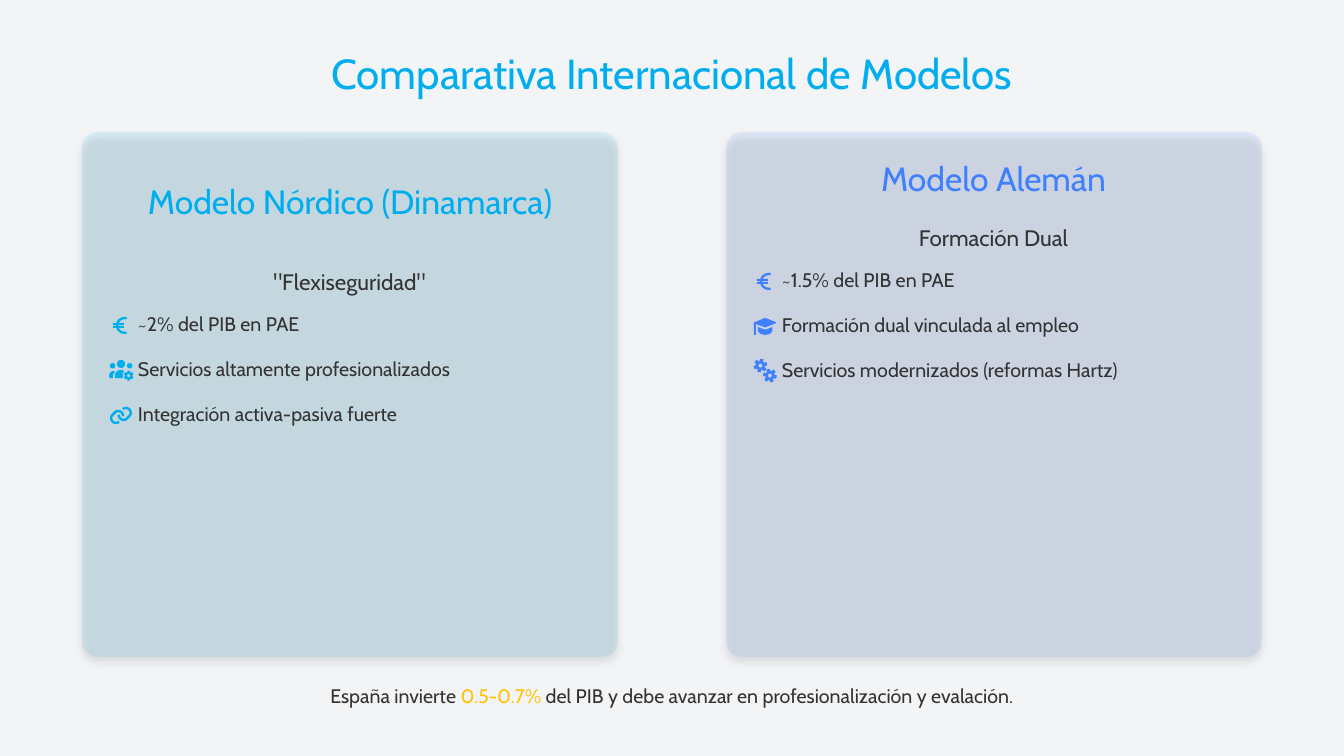
"""Build the slide that compares two employment policy models."""
from dataclasses import dataclass
from math import cos, radians, sin

from lxml.etree import SubElement
from pptx import Presentation
from pptx.dml.color import RGBColor
from pptx.enum.shapes import MSO_SHAPE as Preset
from pptx.enum.text import MSO_ANCHOR as Anchor, MSO_AUTO_SIZE as AutoSize, PP_ALIGN as Align
from pptx.oxml.ns import qn
from pptx.util import Pt

EMU_PER_PX = 914400 / 100.8
ICON_UNITS_PER_PX = 10


@dataclass(frozen=True)
class Theme:
    """Colours, font and type sizes."""
    font: str = "Cabin"
    background: str = "F3F4F6"
    text: str = "333333"
    nordic: str = "00AEEF"
    german: str = "4080FF"
    accent: str = "FFC200"
    shadow: str = "000000"
    title: int = 30
    heading: int = 24
    subtitle: int = 16
    body: int = 14


def px(length):
    """Turn pixels into EMU."""
    return round(length * EMU_PER_PX)


def arc(x, y, radius, start=0, end=360, step=15):
    """Return points along a circular arc."""
    steps = max(1, round(abs(end - start) / step))
    angles = [radians(start + (end - start) * i / steps) for i in range(steps + 1)]
    return [(x + radius * cos(a), y + radius * sin(a)) for a in angles]


def gear(x, y, outer, inner, hole, turn):
    """Return the outline and the hole of a six-toothed gear."""
    outline = []
    for tooth in range(turn, turn + 360, 60):
        outline += arc(x, y, inner, tooth - 36, tooth - 24)
        outline += arc(x, y, outer, tooth - 14, tooth + 14)
    return [outline, arc(x, y, hole)]


def bar(left, top, right, bottom):
    """Return the corners of a rectangle."""
    return [(left, top), (right, top), (right, bottom), (left, bottom)]


def euro():
    """Return the contours of the euro icon."""
    curve = (arc(115, 85, 85, 270, 90) + [(132, 170), (140, 160), (132, 148)]
             + arc(115, 85, 62, 90, 270) + [(132, 22), (140, 11), (132, 0)])
    strokes = [bar(left, top, right, top + 20)
               for top in (60, 90) for left, right in ((0, 32), (55, 110))]
    return [curve] + strokes


def team():
    """Return the contours of the people icon."""
    side_body = [(0, 165), (7, 130), (35, 111), (60, 115), (42, 145),
                 (38, 182), (8, 182)]
    middle_body = [(57, 175), (65, 130), (95, 102), (140, 102), (150, 115),
                   (135, 135), (142, 160), (135, 182), (65, 182)]
    heads = [arc(120, 40, 40), arc(36, 58, 27), arc(207, 58, 27)]
    return heads + [side_body, middle_body] + gear(197, 158, 50, 36, 16, 30)


def chain():
    """Return the contours of the chain icon."""
    link = (arc(160, 78, 60, -130, 45) + arc(137, 102, 60, 45, 185)
            + arc(137, 102, 36, 185, 45) + arc(160, 78, 36, 45, -130))
    return [link, [(220 - x, 210 - y) for x, y in link]]


def cap():
    """Return the contours of the graduation cap icon."""
    board = [(0, 45), (100, 3), (112, 0), (124, 3), (220, 42), (220, 52), (124, 90),
             (112, 94), (100, 90), (20, 60), (20, 165), (10, 172), (0, 165)]
    base = [(40, 90), (95, 112), (112, 115), (130, 112), (185, 90), (185, 130),
            (160, 160), (112, 170), (65, 160), (40, 130)]
    return [board, base]


def gears():
    """Return the contours of the two gears icon."""
    return gear(75, 66, 68, 45, 20, -17) + gear(170, 166, 68, 45, 20, 12)


class ModelSlide:
    """Draw themed elements on one slide."""

    def __init__(self, deck, theme):
        """Add a title-only slide with a plain background."""
        self.theme = theme
        self.slide = deck.slides.add_slide(deck.slide_layouts[5])
        background = self.slide.background.fill
        background.solid()
        background.fore_color.rgb = RGBColor.from_string(theme.background)

    def set_runs(self, shape, runs, size, align=Align.CENTER, spacing=1.0):
        """Fill a shape with one paragraph of coloured runs."""
        frame = shape.text_frame
        frame.margin_left = frame.margin_right = frame.margin_top = frame.margin_bottom = 0
        frame.auto_size = AutoSize.NONE
        frame.word_wrap = True
        frame.vertical_anchor = Anchor.MIDDLE
        paragraph = frame.paragraphs[0]
        paragraph.alignment = align
        paragraph.line_spacing = spacing
        for words, colour in runs:
            run = paragraph.add_run()
            run.text = words
            run.font.name = self.theme.font
            run.font.size = Pt(size)
            run.font.color.rgb = RGBColor.from_string(colour)

    def title(self, words, left, top, width, height):
        """Move and fill the title placeholder."""
        title = self.slide.shapes.title
        title.left, title.top, title.width, title.height = map(px, (left, top, width, height))
        self.set_runs(title, [(words, self.theme.nordic)], self.theme.title)

    def text(self, box, runs, size, align=Align.CENTER, spacing=1.2):
        """Add a text box."""
        label = self.slide.shapes.add_textbox(*map(px, box))
        self.set_runs(label, runs, size, align, spacing)

    def paint(self, shape, colour):
        """Give a shape a plain fill without line or shadow."""
        shape.shadow.inherit = False
        shape.fill.solid()
        shape.fill.fore_color.rgb = RGBColor.from_string(colour)
        shape.line.fill.background()

    def card(self, box, colour):
        """Add a translucent rounded card with a soft shadow."""
        card = self.slide.shapes.add_shape(Preset.ROUNDED_RECTANGLE, *map(px, box))
        card.adjustments[0] = 0.03
        self.paint(card, colour)
        properties = card.element.spPr
        tint = properties.find(f"{qn('a:solidFill')}/{qn('a:srgbClr')}")
        effects = properties.find(qn("a:effectLst"))
        shadow = SubElement(effects, qn("a:outerShdw"), blurRad=str(Pt(6)),
                            dist=str(Pt(4)), dir="5400000", algn="ctr", rotWithShape="0")
        shade = SubElement(shadow, qn("a:srgbClr"), val=self.theme.shadow)
        for colour_node in (tint, shade):
            SubElement(colour_node, qn("a:alpha"), val="10000")

    def icon(self, left, top, contours, colour):
        """Add an icon made of closed contours."""
        first, *others = contours
        builder = self.slide.shapes.build_freeform(
            *first[0], scale=EMU_PER_PX / ICON_UNITS_PER_PX)
        builder.add_line_segments(first[1:], close=True)
        for contour in others:
            builder.move_to(*contour[0])
            builder.add_line_segments(contour[1:], close=True)
        self.paint(builder.convert_to_shape(px(left), px(top)), colour)

    def model(self, left, colour, heading, heading_size, subtitle, subtitle_top, features):
        """Add a model card with heading, subtitle and feature rows."""
        card_width, theme = 536, self.theme
        self.card((left, 132, card_width, 525), colour)
        width, height = heading_size
        self.text((left + (card_width - width) // 2, 154, width, height),
                  [(heading, colour)], theme.heading, spacing=1.1)
        self.text((left - 6, subtitle_top, 547, 33),
                  [(subtitle, theme.text)], theme.subtitle, spacing=1.3)
        for row, (icon_x, icon_y, contours, words) in enumerate(features):
            top = subtitle_top + 44 + 45 * row
            self.icon(left + icon_x, top + icon_y, contours, colour)
            self.text((left + 56, top, 440, 33), [(words, theme.text)],
                      theme.body, Align.LEFT)


def main():
    """Build and save the deck."""
    theme = Theme()
    deck = Presentation()
    deck.slide_width, deck.slide_height = px(1344), px(756)
    page = ModelSlide(deck, theme)
    page.title("Comparativa Internacional de Modelos", 0, 48, 1344, 50)
    page.model(82, theme.nordic, "Modelo Nórdico (Dinamarca)", (492, 90),
               '"Flexiseguridad"', 261, [
                   (31, 12, euro(), "~2% del PIB en PAE"),
                   (27, 10, team(), "Servicios altamente profesionalizados"),
                   (28, 10, chain(), "Integración activa-pasiva fuerte")])
    page.model(726, theme.german, "Modelo Alemán", (547, 44), "Formación Dual", 217, [
        (31, 12, euro(), "~1.5% del PIB en PAE"),
        (28, 12, cap(), "Formación dual vinculada al empleo"),
        (27, 8, gears(), "Servicios modernizados (reformas Hartz)")])
    page.text((28, 679, 1288, 28), [
        ("España invierte ", theme.text), ("0.5-0.7%", theme.accent),
        (" del PIB y debe avanzar en profesionalización y evalación.", theme.text)],
        theme.body)
    deck.save("out.pptx")


if __name__ == "__main__":
    main()
